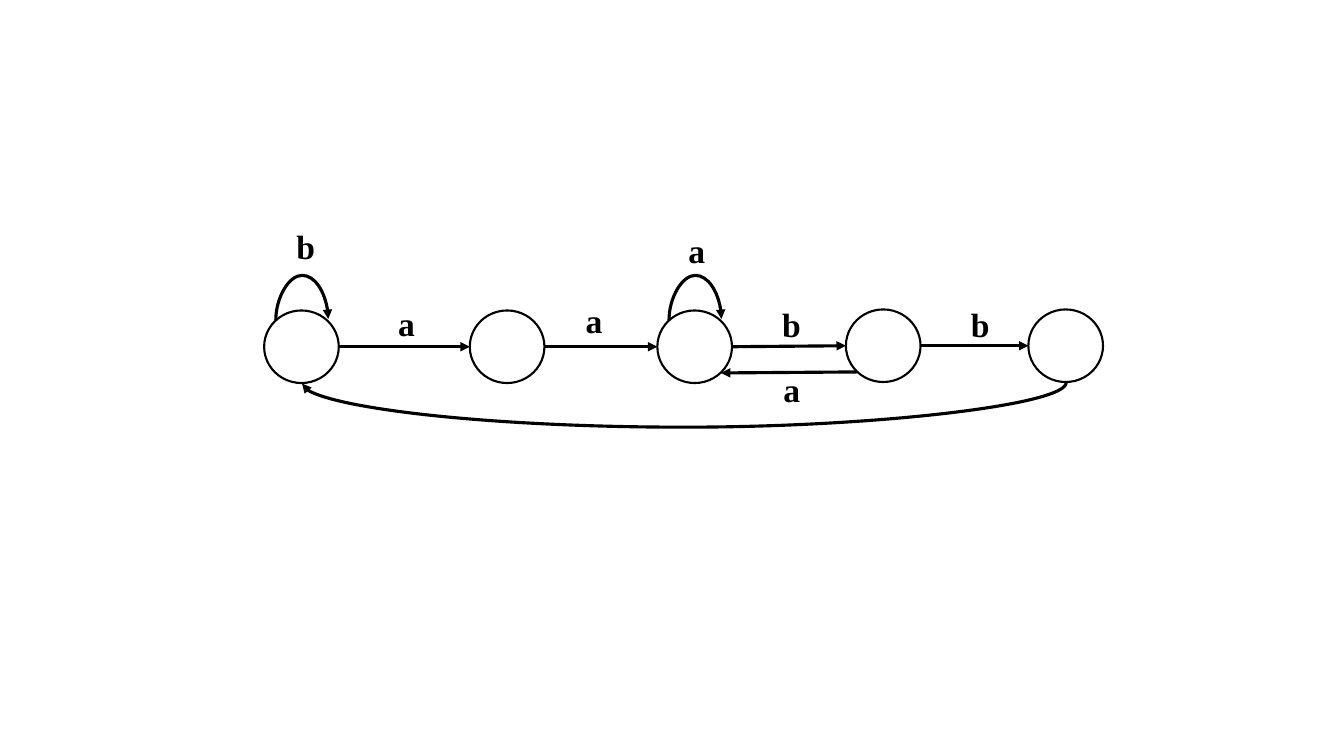
from dataclasses import dataclass

from lxml import etree
from pptx import Presentation
from pptx.dml.color import RGBColor
from pptx.enum.shapes import MSO_CONNECTOR, MSO_SHAPE
from pptx.oxml.ns import qn
from pptx.util import Inches, Pt

OVAL = MSO_SHAPE.OVAL
LINE = MSO_CONNECTOR.STRAIGHT
CURVE = MSO_CONNECTOR.CURVE
CELL = Inches(0.01)


@dataclass(frozen=True)
class Theme:
    ink: RGBColor = RGBColor(0, 0, 0)
    font: str = "Times New Roman"
    size: Pt = Pt(24)
    rim: Pt = Pt(1.5)
    edge: Pt = Pt(2.25)


THEME = Theme()
STATE_W, STATE_H = 74, 72
LABEL_W, LABEL_H = 59, 50
STATES = [(0, 1), (204, 1), (390, 1), (577, 0), (758, 0)]
LABELS = [
    ("b", 22, -88), ("a", 411, -84),
    ("a", 123, -11), ("a", 309, -14), ("b", 504, -10), ("b", 691, -10),
    ("a", 505, 54),
]
LOOPS = [0, 2]
LOOP_W = 52
RISE = 45


def place(box, x, y):
    return (box[0] + x) * CELL, (box[1] + y) * CELL


def add_state(slide, box, x, y):
    state = slide.shapes.add_shape(
        OVAL, *place(box, x, y), STATE_W * CELL, STATE_H * CELL)
    state.shadow.inherit = False
    state.fill.background()
    state.line.color.rgb = THEME.ink
    state.line.width = THEME.rim


def add_label(slide, box, text, x, y):
    label = slide.shapes.add_textbox(
        *place(box, x, y), LABEL_W * CELL, LABEL_H * CELL)
    frame = label.text_frame
    frame.word_wrap = True
    frame.text = text
    font = frame.paragraphs[0].runs[0].font
    font.name = THEME.font
    font.size = THEME.size
    font.bold = True
    font.color.rgb = THEME.ink


def add_arrow(slide, box, start, end, kind=LINE):
    arrow = slide.shapes.add_connector(
        kind, *place(box, *start), *place(box, *end))
    arrow.line.color.rgb = THEME.ink
    arrow.line.width = THEME.edge
    props = arrow._element.spPr
    etree.SubElement(props.find(qn("a:ln")), qn("a:tailEnd"), type="triangle")
    etree.SubElement(props, qn("a:effectLst"))
    return arrow


def add_arc(slide, box, x, y, span, upward):
    start, end = (x, y - span / 2), (x + 1, y + span / 2)
    if upward:
        start, end = end, start
    arc = add_arrow(slide, box, start, end, CURVE)
    props = arc._element.spPr
    props.find(qn("a:xfrm")).set("rot", "5400000")
    guides = props.find(qn("a:prstGeom")).find(qn("a:avLst"))
    etree.SubElement(guides, qn("a:gd"), name="adj1",
                     fmla=f"val {RISE * 100000}")


def add_graph(slide, box):
    for x, y in STATES:
        add_state(slide, box, x, y)
    for (x, y), (next_x, next_y) in zip(STATES, STATES[1:]):
        add_arrow(slide, box, (x + STATE_W, y + STATE_H / 2),
                  (next_x, next_y + STATE_H / 2))
    add_arrow(slide, box, (588, 62), (453, 63))
    for index in LOOPS:
        x, y = STATES[index]
        add_arc(slide, box, x + STATE_W / 2, y + 9, LOOP_W, True)
    first, last = STATES[0][0], STATES[-1][0]
    add_arc(slide, box, (first + last + STATE_W) / 2, STATE_H + 1,
            last - first, False)
    for text, x, y in LABELS:
        add_label(slide, box, text, x, y)


def main():
    deck = Presentation()
    deck.slide_width, deck.slide_height = Inches(13.33), Inches(7.5)
    slide = deck.slides.add_slide(deck.slide_layouts[6])
    add_graph(slide, (262, 307))
    deck.save("out.pptx")


if __name__ == "__main__":
    main()
